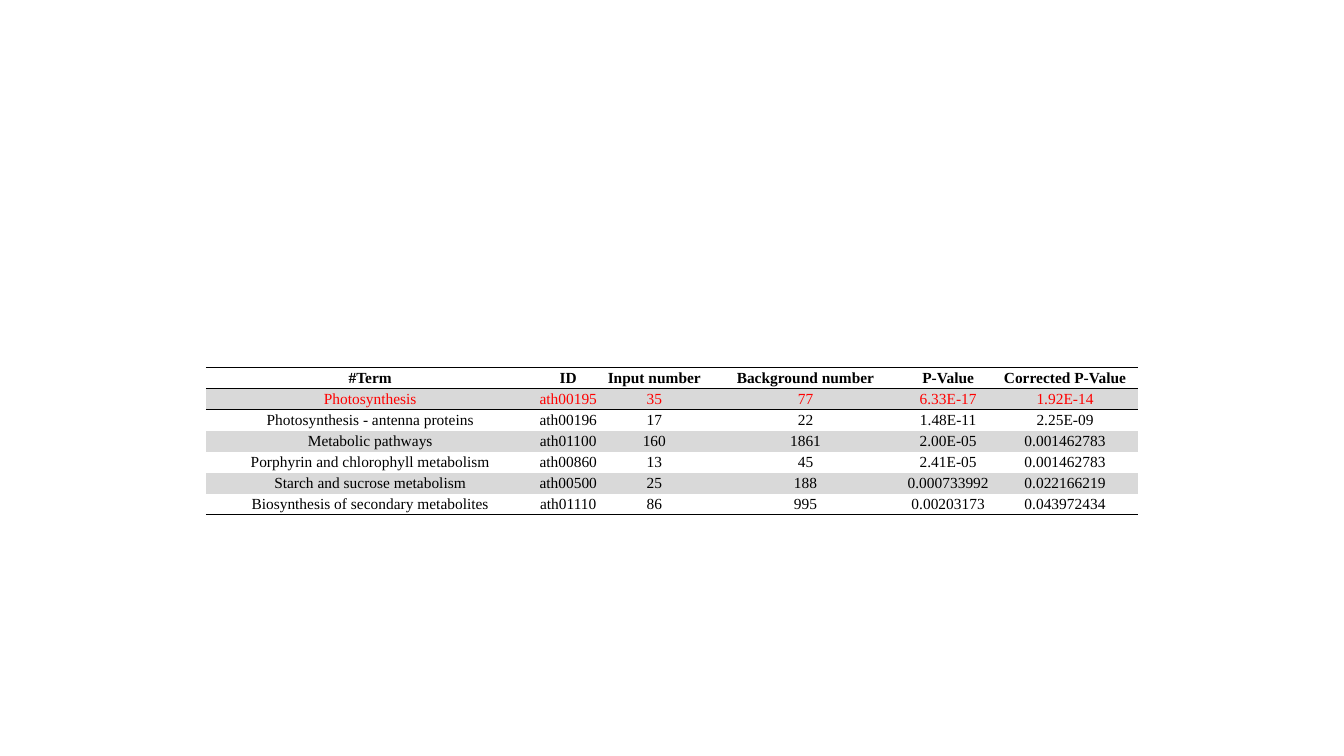
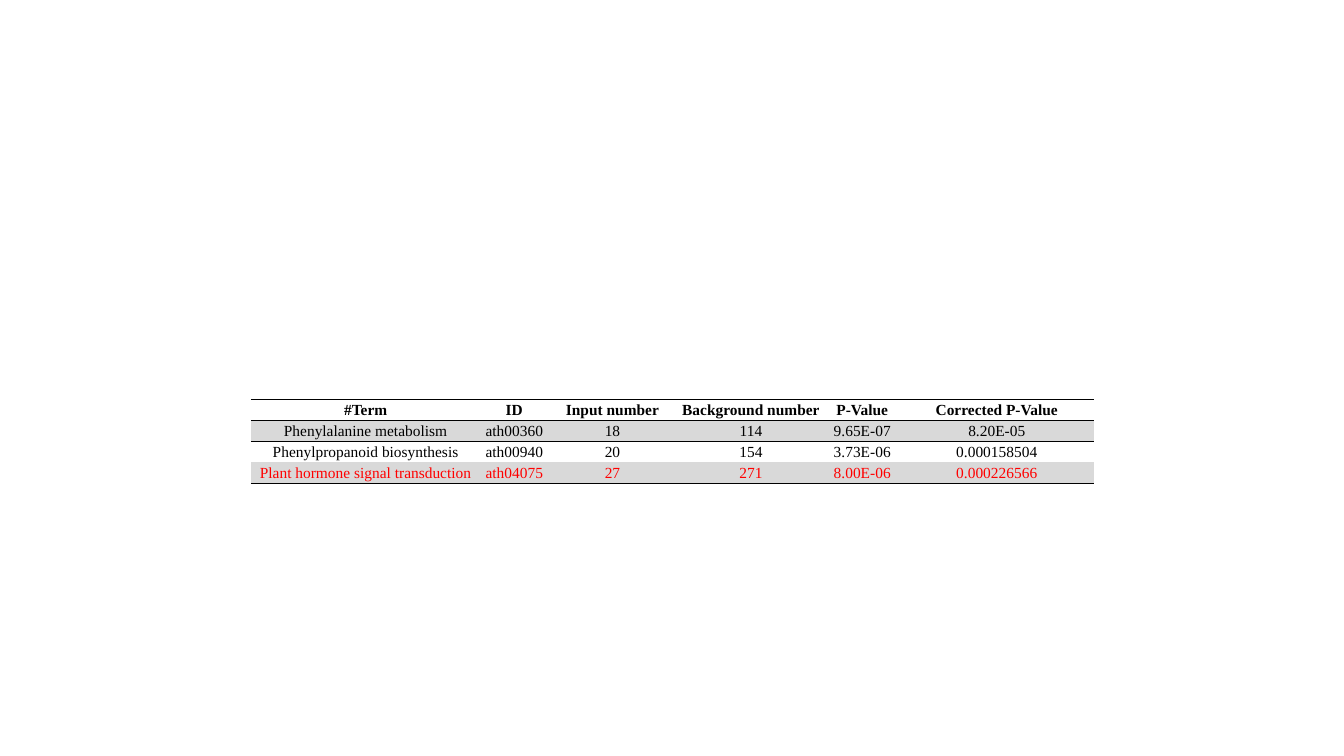
from dataclasses import dataclass

from lxml import etree
from pptx import Presentation
from pptx import util as u
from pptx.dml.color import RGBColor
from pptx.enum import text
from pptx.oxml import ns


@dataclass(frozen=True)
class Theme:
    ink: str = "000000"
    mark: str = "FF0000"
    band: str = "D9D9D9"
    face: str = "Times New Roman"
    size: float = 11
    rule: float = 0.5
    row: float = 0.53  # row height in cm


PLAIN = "{2D5ABB26-0587-4C30-8999-92F81FD0307C}"  # no style, no grid
CELL = {
    "vertical_anchor": text.MSO_ANCHOR.MIDDLE,
    "margin_left": u.Cm(0.02),
    "margin_right": u.Cm(0.02),
    "margin_top": u.Cm(0.02),
    "margin_bottom": 0,
}


def apply(item, form):
    for name, value in form.items():
        setattr(item, name, value)


class Deck:
    def __init__(self, theme):
        self.theme = theme
        self.show = Presentation()
        apply(self.show, {"slide_width": u.Cm(33.87), "slide_height": u.Cm(19.05)})
        self.page = None

    def slide(self):
        self.page = self.show.slides.add_slide(self.show.slide_layouts[6])

    # Cell parts
    def rule(self, cell, sides):
        props = cell._tc.get_or_add_tcPr()
        for spot, side in enumerate(sides):
            line = etree.Element(ns.qn(f"a:ln{side}"), w=str(u.Pt(self.theme.rule)))
            fill = etree.SubElement(line, ns.qn("a:solidFill"))
            etree.SubElement(fill, ns.qn("a:srgbClr"), val=self.theme.ink)
            props.insert(spot, line)  # borders come before the fill

    def label(self, cell, words, color, bold):
        apply(cell, CELL)
        para = cell.text_frame.paragraphs[0]
        para.alignment = text.PP_ALIGN.CENTER
        run = para.add_run()
        run.text = words
        apply(run.font, {"name": self.theme.face, "size": u.Pt(self.theme.size), "bold": bold})
        run.font.color.rgb = RGBColor.from_string(color)

    def shade(self, cell, band):
        if band:
            cell.fill.solid()
            cell.fill.fore_color.rgb = RGBColor.from_string(self.theme.band)
        else:
            cell.fill.background()

    # Ruled table: odd rows banded, one row marked
    def table(self, left, top, widths, rows, mark):
        high = u.Cm(self.theme.row)
        frame = self.page.shapes.add_table(
            len(rows), len(widths), u.Cm(left), u.Cm(top),
            u.Cm(sum(widths)), high * len(rows))
        grid = frame.table
        grid.horz_banding = False
        grid._tbl.tblPr.find(ns.qn("a:tableStyleId")).text = PLAIN
        for col, width in zip(grid.columns, widths):
            col.width = u.Cm(width)
        last = len(rows) - 1
        sides = {0: "TB", 1: "T", last: "B"}
        for r, row in enumerate(rows):
            grid.rows[r].height = high
            color = self.theme.mark if r == mark else self.theme.ink
            for c, words in enumerate(row):
                cell = grid.cell(r, c)
                self.label(cell, words, color, r == 0)
                self.shade(cell, r % 2)
                self.rule(cell, sides.get(r, ""))


HEAD = ("#Term", "ID", "Input number", "Background number", "P-Value", "Corrected P-Value")

LIGHT = [
    HEAD,
    ("Photosynthesis", "ath00195", "35", "77", "6.33E-17", "1.92E-14"),
    ("Photosynthesis - antenna proteins", "ath00196", "17", "22", "1.48E-11", "2.25E-09"),
    ("Metabolic pathways", "ath01100", "160", "1861", "2.00E-05", "0.001462783"),
    ("Porphyrin and chlorophyll metabolism", "ath00860", "13", "45", "2.41E-05", "0.001462783"),
    ("Starch and sucrose metabolism", "ath00500", "25", "188", "0.000733992", "0.022166219"),
    ("Biosynthesis of secondary metabolites", "ath01110", "86", "995", "0.00203173", "0.043972434"),
]

HORMONE = [
    HEAD,
    ("Phenylalanine metabolism", "ath00360", "18", "114", "9.65E-07", "8.20E-05"),
    ("Phenylpropanoid biosynthesis", "ath00940", "20", "154", "3.73E-06", "0.000158504"),
    ("Plant hormone signal transduction", "ath04075", "27", "271", "8.00E-06", "0.000226566"),
]


def main():
    deck = Deck(Theme())

    # Photosynthesis pathways
    deck.slide()
    deck.table(5.19, 9.26, (8.28, 1.7, 2.64, 4.98, 2.21, 3.68), LIGHT, mark=1)

    # Hormone pathways
    deck.slide()
    deck.table(6.32, 10.06, (5.79, 1.7, 3.25, 3.73, 1.88, 4.9), HORMONE, mark=3)

    deck.show.save("out.pptx")


if __name__ == "__main__":
    main()
